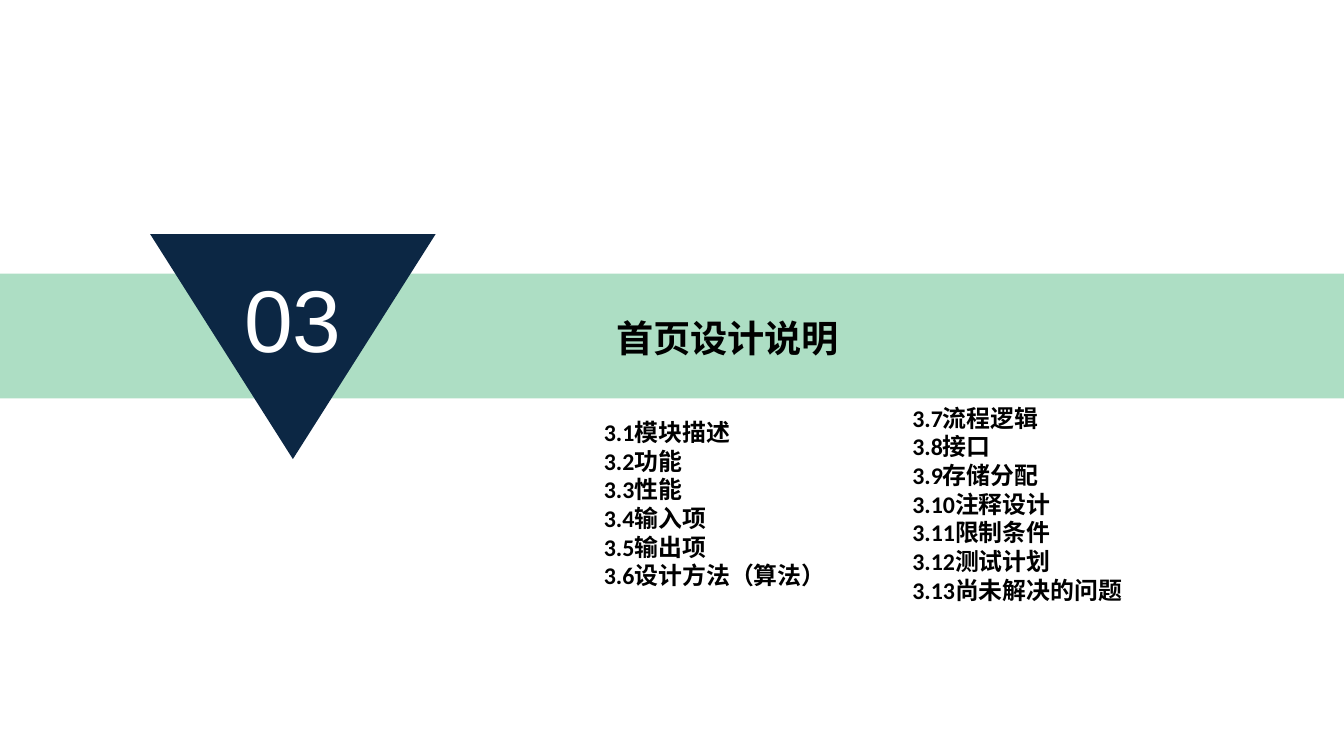
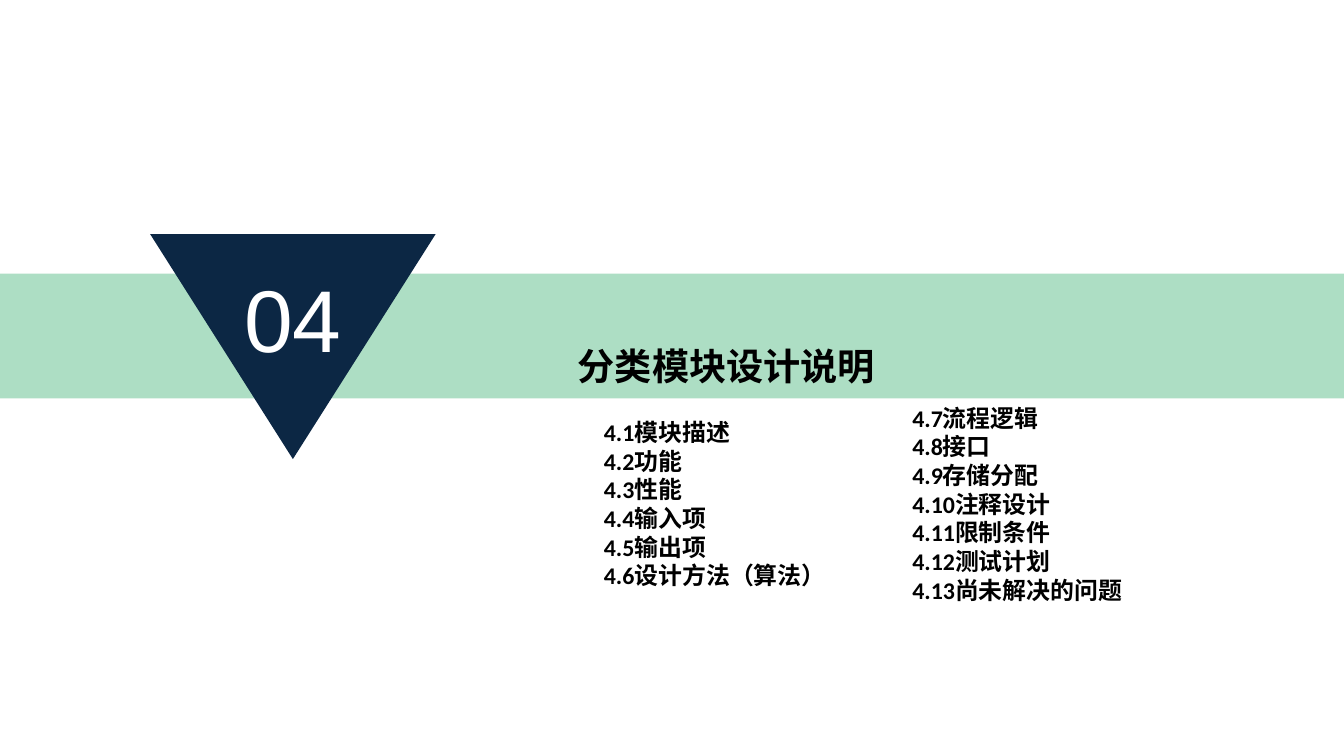
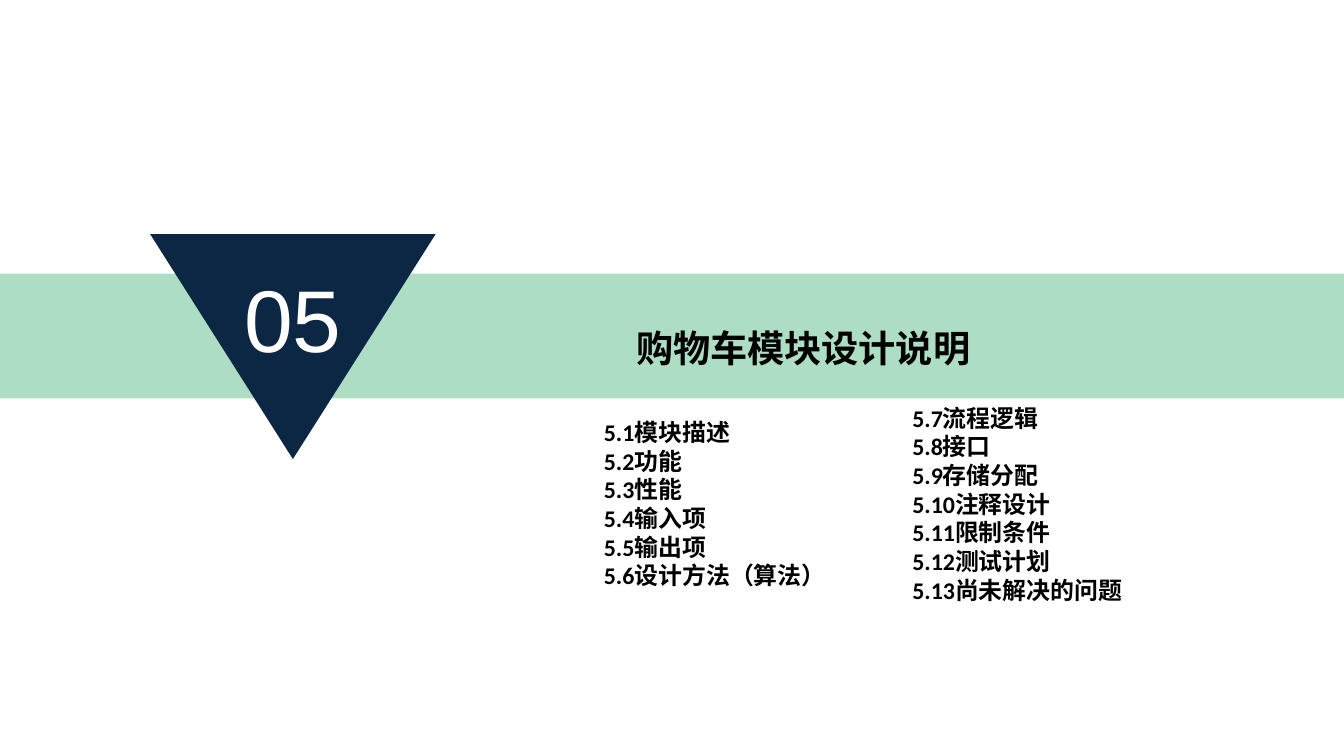
from pptx import Presentation
from pptx.dml.color import RGBColor
from pptx.enum.shapes import MSO_SHAPE
from pptx.enum.text import MSO_ANCHOR, PP_ALIGN
from pptx.oxml.ns import qn
from pptx.util import Cm, Pt

PAGE_WIDTH, PAGE_HEIGHT = 35.72, 20.09
GREEN, NAVY, WHITE, BLACK = "ADDEC4", "0C2744", "FFFFFF", "000000"
EAST_ASIAN_FONT = "Noto Sans CJK SC"

BAND = (0, 7.27, PAGE_WIDTH, 3.32)
TRIANGLE = (3.99, 6.22, 7.59, 5.98)
TOPICS = (16.05, 10.72, 17.9, 6.93)
COLUMN_GAP, COLUMN_WIDTH, COLUMN_RISE = 8.2, 9.7, 0.38

NUMBER_STYLE = {"size": Pt(66), "name": "Arial", "bold": False}
TITLE_STYLE = {"size": Pt(28), "name": "Calibri", "bold": True}
TOPIC_STYLE = {"size": Pt(18), "name": "Calibri", "bold": True}

TOPIC_COLUMNS = [
    ["模块描述", "功能", "性能", "输入项", "输出项", "设计方法（算法）"],
    ["流程逻辑", "接口", "存储分配", "注释设计", "限制条件", "测试计划", "尚未解决的问题"],
]

SECTIONS = [
    {"number": 3, "title": "首页设计说明", "box": (15.82, 8.33, 7.04, 1.19),
     "margins": (0, 0, 0, 0), "align": PP_ALIGN.CENTER,
     "anchor": MSO_ANCHOR.MIDDLE, "font": "Calibri", "spacing": 36},
    {"number": 4, "title": "分类模块设计说明", "box": (15.11, 7.24, 8.48, 2.67),
     "margins": (0.25, 0.13, 0.25, 0.13), "align": PP_ALIGN.LEFT,
     "anchor": MSO_ANCHOR.TOP, "font": EAST_ASIAN_FONT, "spacing": 83},
    {"number": 5, "title": "购物车模块设计说明", "box": (16.66, 8.43, 9.53, 1.45),
     "margins": (0.25, 0.13, 0.25, 0.13), "align": PP_ALIGN.LEFT,
     "anchor": MSO_ANCHOR.TOP, "font": "Calibri", "spacing": 36},
]


def color(value):
    return RGBColor.from_string(value)


def paint(shape, value):
    shape.shadow.inherit = False
    shape.fill.solid()
    shape.fill.fore_color.rgb = color(value)
    shape.line.fill.background()


def write(shape, lines, style, ink, align=PP_ALIGN.LEFT, anchor=MSO_ANCHOR.TOP,
          margins=(0, 0, 0, 0), spacing=None):
    frame = shape.text_frame
    left, top, right, bottom = map(Cm, margins)
    frame_format = {"word_wrap": True, "vertical_anchor": anchor,
                    "margin_left": left, "margin_top": top,
                    "margin_right": right, "margin_bottom": bottom}
    for name, value in frame_format.items():
        setattr(frame, name, value)
    for index, line in enumerate(lines):
        para = frame.add_paragraph() if index else frame.paragraphs[0]
        para.alignment = align
        if spacing:
            para.line_spacing = Pt(spacing)
        span = para.add_run()
        span.text = line
        for name, value in style.items():
            setattr(span.font, name, value)
        span.font.color.rgb = color(ink)
        latin = span._r.get_or_add_rPr().find(qn("a:latin"))
        east_asian = latin.makeelement(qn("a:ea"), {"typeface": EAST_ASIAN_FONT})
        latin.addnext(east_asian)


def add_band(page, box):
    band = page.shapes.add_shape(MSO_SHAPE.RECTANGLE, *map(Cm, box))
    paint(band, GREEN)


def add_number(page, box, number):
    left, top, width, height = map(Cm, box)
    builder = page.shapes.build_freeform(left, top, scale=1.0)
    builder.add_line_segments(
        [(left + width, top), (left + width // 2, top + height)], close=True)
    triangle = builder.convert_to_shape()
    paint(triangle, NAVY)
    write(triangle, [f"{number:02d}"], NUMBER_STYLE, WHITE, PP_ALIGN.CENTER,
          MSO_ANCHOR.MIDDLE, (0.25, 0, 0.25, 1.57))


def add_title(page, section):
    title = page.shapes.add_textbox(*map(Cm, section["box"]))
    write(title, [section["title"]], {**TITLE_STYLE, "name": section["font"]}, BLACK,
          section["align"], section["anchor"], section["margins"], section["spacing"])


def add_topics(page, box, number):
    left, top, _, height = box
    first = 1
    for index, topics in enumerate(TOPIC_COLUMNS):
        rise = index * COLUMN_RISE
        column = page.shapes.add_textbox(
            Cm(left + index * COLUMN_GAP), Cm(top + COLUMN_RISE - rise),
            Cm(COLUMN_WIDTH), Cm(height - 2 * (COLUMN_RISE - rise)))
        lines = [f"{number}.{item}{topic}" for item, topic in enumerate(topics, first)]
        write(column, lines, TOPIC_STYLE, BLACK, spacing=21.6)
        first += len(topics)


def add_section(deck, section):
    page = deck.slides.add_slide(deck.slide_layouts[6])
    add_band(page, BAND)
    add_number(page, TRIANGLE, section["number"])
    add_title(page, section)
    add_topics(page, TOPICS, section["number"])


def main():
    deck = Presentation()
    deck.slide_width, deck.slide_height = Cm(PAGE_WIDTH), Cm(PAGE_HEIGHT)
    for section in SECTIONS:
        add_section(deck, section)
    deck.save("out.pptx")


if __name__ == "__main__":
    main()
